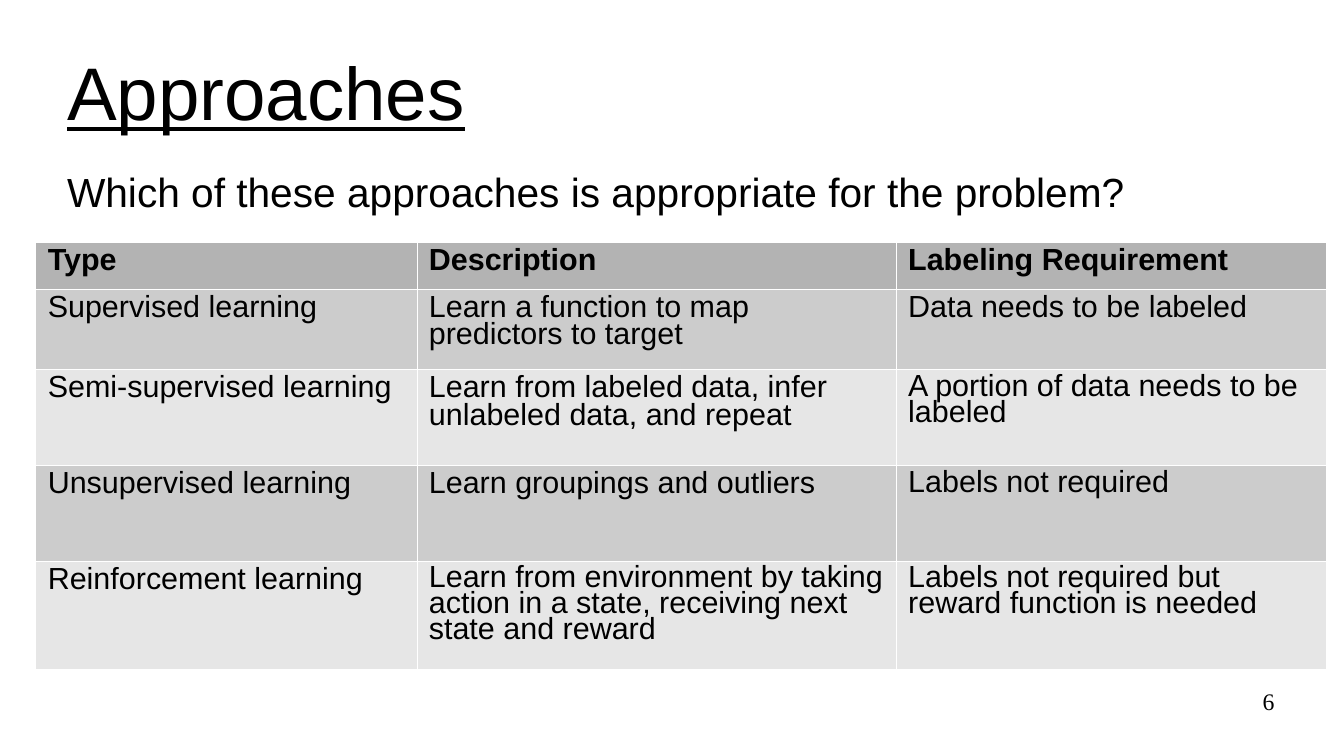
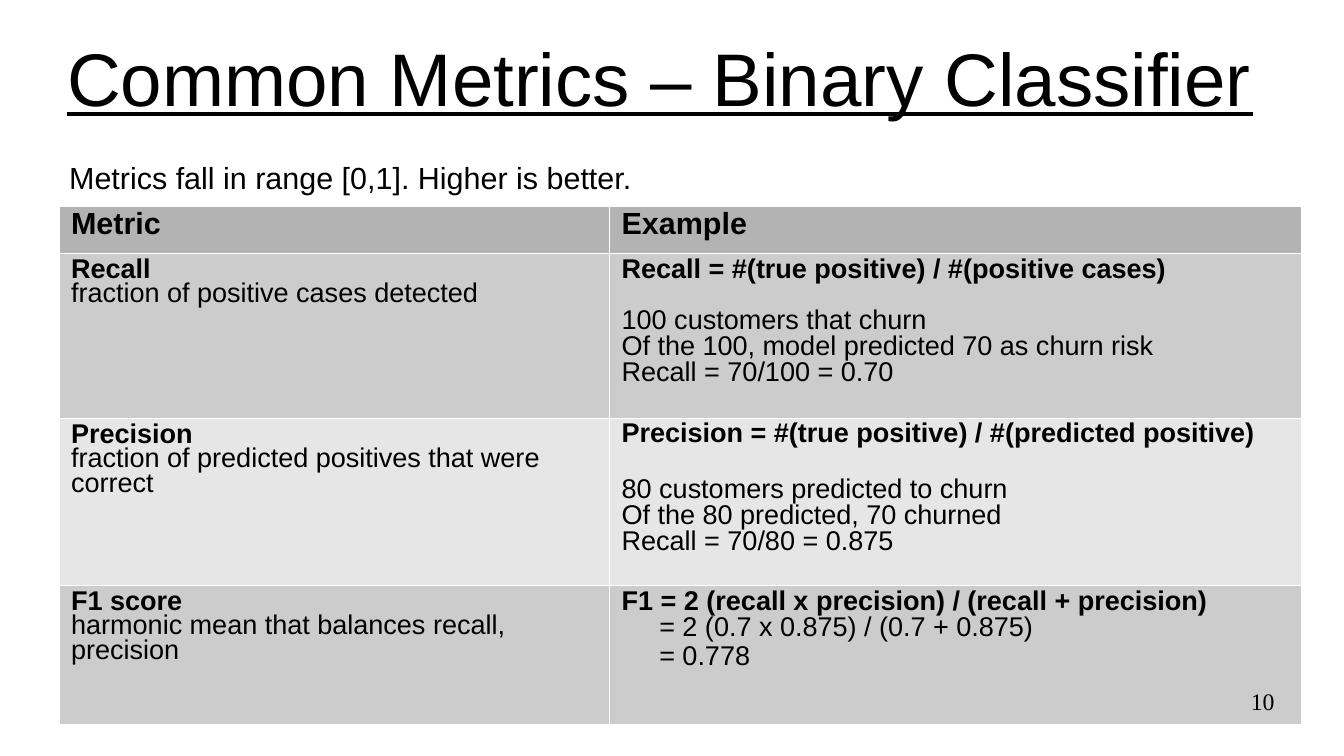
from dataclasses import dataclass

from lxml.etree import SubElement
from pptx import Presentation
from pptx.dml.color import RGBColor
from pptx.enum.text import MSO_ANCHOR, MSO_AUTO_SIZE, PP_ALIGN
from pptx.oxml.ns import qn
from pptx.util import Pt


@dataclass(frozen=True)
class Theme:
    ink: str = "000000"
    grid: str = "FFFFFF"
    header: str = "B3B3B3"
    bands: tuple = ("CCCCCC", "E6E6E6")
    font: str = "Arial"
    number_font: str = "Times New Roman"
    title_size: int = 44
    lead_size: int = 24
    body_size: int = 18
    detail_size: int = 16
    number_size: int = 14


@dataclass(frozen=True)
class Spacing:
    lines: float
    before: float
    after: float


@dataclass(frozen=True)
class Line:
    text: str
    bold: bool = False
    spacing: Spacing = Spacing(0.81, 0.4, 0.4)
    indent: float = 0


THEME = Theme()
LOOSE = Spacing(0.93, 1.6, 1.6)
TIGHT = Spacing(0.76, 1.6, 1.6)
STACKED = Spacing(0.81, 0, 0)
AFTER_FORMULA = Spacing(0.81, 15.5, 0.4)
AFTER_TIGHT_FORMULA = Spacing(0.81, 17.5, 0.4)
FORMULA_INDENT = 22.2


def write_lines(frame, lines, size, font=THEME.font, alignment=PP_ALIGN.LEFT, underline=False):
    frame.word_wrap = True
    for index, line in enumerate(lines):
        paragraph = frame.paragraphs[0] if index == 0 else frame.add_paragraph()
        paragraph.alignment = alignment
        paragraph.line_spacing = line.spacing.lines
        paragraph.space_before = Pt(line.spacing.before)
        paragraph.space_after = Pt(line.spacing.after)
        if line.indent:
            paragraph._p.get_or_add_pPr().set("marL", str(Pt(line.indent)))
        run = paragraph.add_run()
        run.text = line.text
        run.font.name = font
        run.font.size = Pt(size)
        run.font.bold = line.bold
        run.font.underline = underline
        run.font.color.rgb = RGBColor.from_string(THEME.ink)


def fill_cell(cell, lines, size, color):
    cell.margin_left = cell.margin_right = Pt(7.2)
    cell.margin_top = cell.margin_bottom = Pt(3.6)
    write_lines(cell.text_frame, lines, size)
    properties = cell._tc.get_or_add_tcPr()
    for side in ("a:lnL", "a:lnR", "a:lnT", "a:lnB"):
        border = SubElement(properties, qn(side), w=str(Pt(0.06)))
        solid = SubElement(border, qn("a:solidFill"))
        SubElement(solid, qn("a:srgbClr"), val=THEME.grid)
    cell.fill.solid()
    cell.fill.fore_color.rgb = RGBColor.from_string(color)


approach_rows = [
    [[Line("Supervised learning")],
     [Line("Learn a function to map predictors to target")],
     [Line("Data needs to be labeled")]],
    [[Line("Semi-supervised learning")],
     [Line("Learn from labeled data, infer unlabeled data, and repeat")],
     [Line("A portion of data needs to be labeled", spacing=TIGHT)]],
    [[Line("Unsupervised learning")],
     [Line("Learn groupings and outliers")],
     [Line("Labels not required", spacing=TIGHT)]],
    [[Line("Reinforcement learning")],
     [Line("Learn from environment by taking action in a state, receiving next state and reward",
           spacing=TIGHT)],
     [Line("Labels not required but reward function is needed", spacing=TIGHT)]],
]

metric_rows = [
    [[Line("Recall", True, STACKED),
      Line("fraction of positive cases detected", spacing=STACKED)],
     [Line("Recall = #(true positive) / #(positive cases)", True),
      Line("100 customers that churn", spacing=AFTER_FORMULA),
      Line("Of the 100, model predicted 70 as churn risk"),
      Line("Recall = 70/100 = 0.70")]],
    [[Line("Precision", True, STACKED),
      Line("fraction of predicted positives that were correct", spacing=STACKED)],
     [Line("Precision = #(true positive) / #(predicted positive)", True, TIGHT),
      Line("80 customers predicted to churn", spacing=AFTER_TIGHT_FORMULA),
      Line("Of the 80 predicted, 70 churned"),
      Line("Recall = 70/80 = 0.875")]],
    [[Line("F1 score", True, STACKED),
      Line("harmonic mean that balances recall, precision", spacing=STACKED)],
     [Line("F1 = 2 (recall x precision) / (recall + precision)", True),
      Line("= 2 (0.7 x 0.875) / (0.7 + 0.875)", spacing=TIGHT, indent=FORMULA_INDENT),
      Line("= 0.778", spacing=TIGHT, indent=FORMULA_INDENT)]],
]

slides = [
    dict(title="Approaches", title_top=18, number="6",
         lead="Which of these approaches is appropriate for the problem?",
         lead_box=(39.6, 95.8, 770, 34.6), lead_size=THEME.lead_size,
         lead_margins=(0, 2.2, 0, 0), lead_anchor=MSO_ANCHOR.MIDDLE,
         table_at=(21, 143.2), columns=(225, 283, 254), heights=(27.5, 47.5, 56.5, 56.5, 64),
         headings=("Type", "Description", "Labeling Requirement"),
         rows=approach_rows, cell_size=THEME.body_size),
    dict(title="Common Metrics – Binary Classifier", title_top=9.4, number="10",
         lead="Metrics fall in range [0,1]. Higher is better.",
         lead_box=(33.8, 92.2, 468, 27.4), lead_size=THEME.body_size,
         lead_margins=(7.2, 3.6, 7.2, 3.6), lead_anchor=MSO_ANCHOR.TOP,
         table_at=(34.8, 121.9), columns=(325, 408.5), heights=(27.5, 97.3, 98.6, 82.2),
         headings=("Metric", "Example"),
         rows=metric_rows, cell_size=THEME.detail_size),
]

presentation = Presentation()
presentation.slide_width = Pt(793.44)
presentation.slide_height = Pt(446.4)

for content in slides:
    slide = presentation.slides.add_slide(presentation.slide_layouts[5])

    title = slide.shapes.title
    title.left, title.top, title.width, title.height = (
        Pt(39.6), Pt(content["title_top"]), Pt(714), Pt(74.5))
    frame = title.text_frame
    frame.auto_size = MSO_AUTO_SIZE.NONE
    frame.vertical_anchor = MSO_ANCHOR.MIDDLE
    frame.margin_left = frame.margin_right = frame.margin_bottom = 0
    frame.margin_top = Pt(2.9)
    write_lines(frame, [Line(content["title"], spacing=LOOSE)], THEME.title_size, underline=True)

    columns, heights = content["columns"], content["heights"]
    left, top = content["table_at"]
    table = slide.shapes.add_table(
        len(heights), len(columns), Pt(left), Pt(top), Pt(sum(columns)), Pt(sum(heights))).table
    for column, width in zip(table.columns, columns):
        column.width = Pt(width)
    for row, height in zip(table.rows, heights):
        row.height = Pt(height)
    for column_index, heading in enumerate(content["headings"]):
        fill_cell(table.cell(0, column_index), [Line(heading, True)], THEME.body_size, THEME.header)
    for row_index, row_cells in enumerate(content["rows"]):
        for column_index, lines in enumerate(row_cells):
            fill_cell(table.cell(row_index + 1, column_index), lines,
                      content["cell_size"], THEME.bands[row_index % 2])

    lead = slide.shapes.add_textbox(*map(Pt, content["lead_box"]))
    frame = lead.text_frame
    frame.vertical_anchor = content["lead_anchor"]
    frame.margin_left, frame.margin_top, frame.margin_right, frame.margin_bottom = map(
        Pt, content["lead_margins"])
    write_lines(frame, [Line(content["lead"], spacing=LOOSE)], content["lead_size"])

    number = slide.shapes.add_textbox(Pt(568.8), Pt(406.8), Pt(183.6), Pt(28.8))
    frame = number.text_frame
    frame.margin_left = frame.margin_top = frame.margin_right = frame.margin_bottom = 0
    write_lines(frame, [Line(content["number"], spacing=LOOSE)], THEME.number_size,
                THEME.number_font, PP_ALIGN.RIGHT)

presentation.save("out.pptx")
